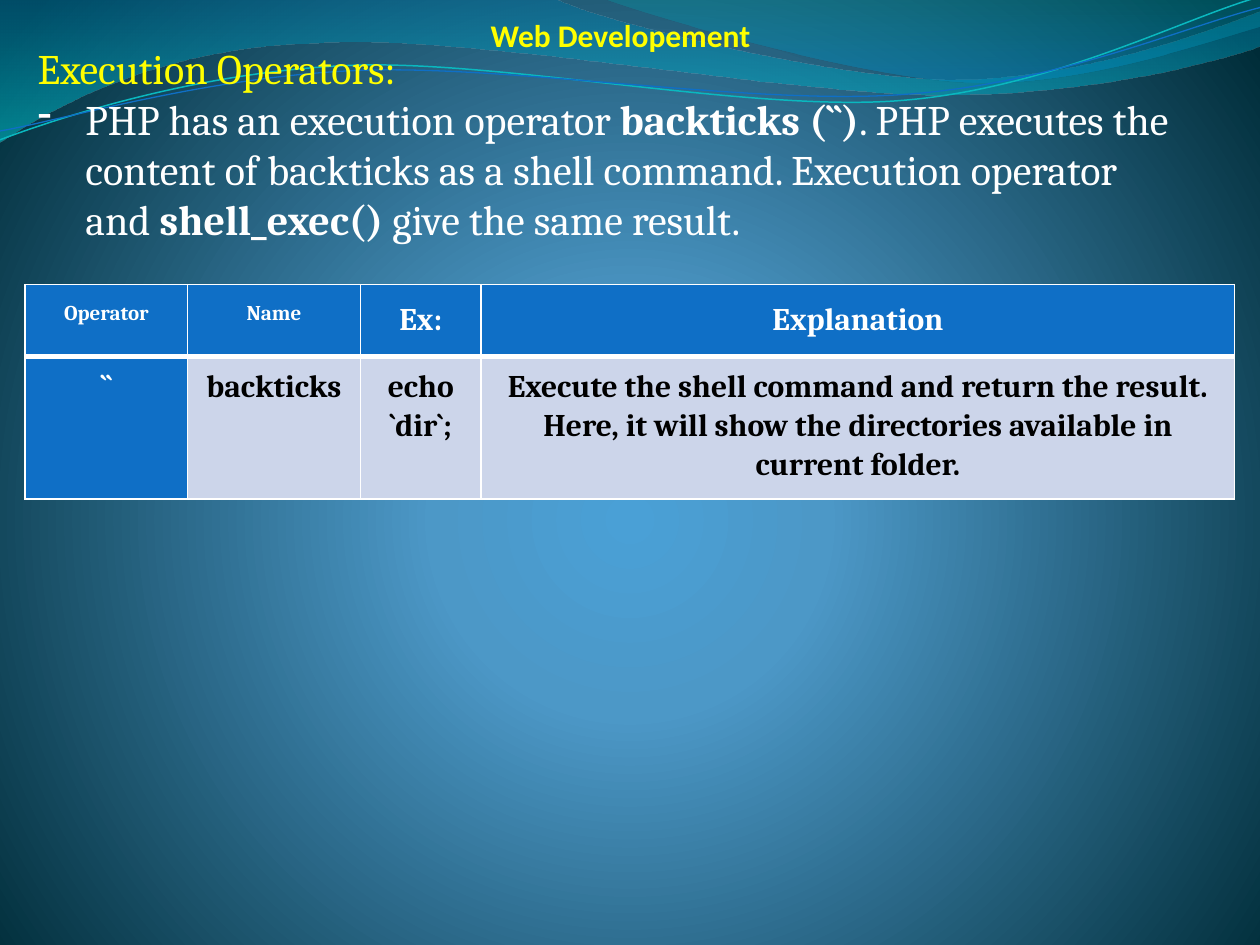
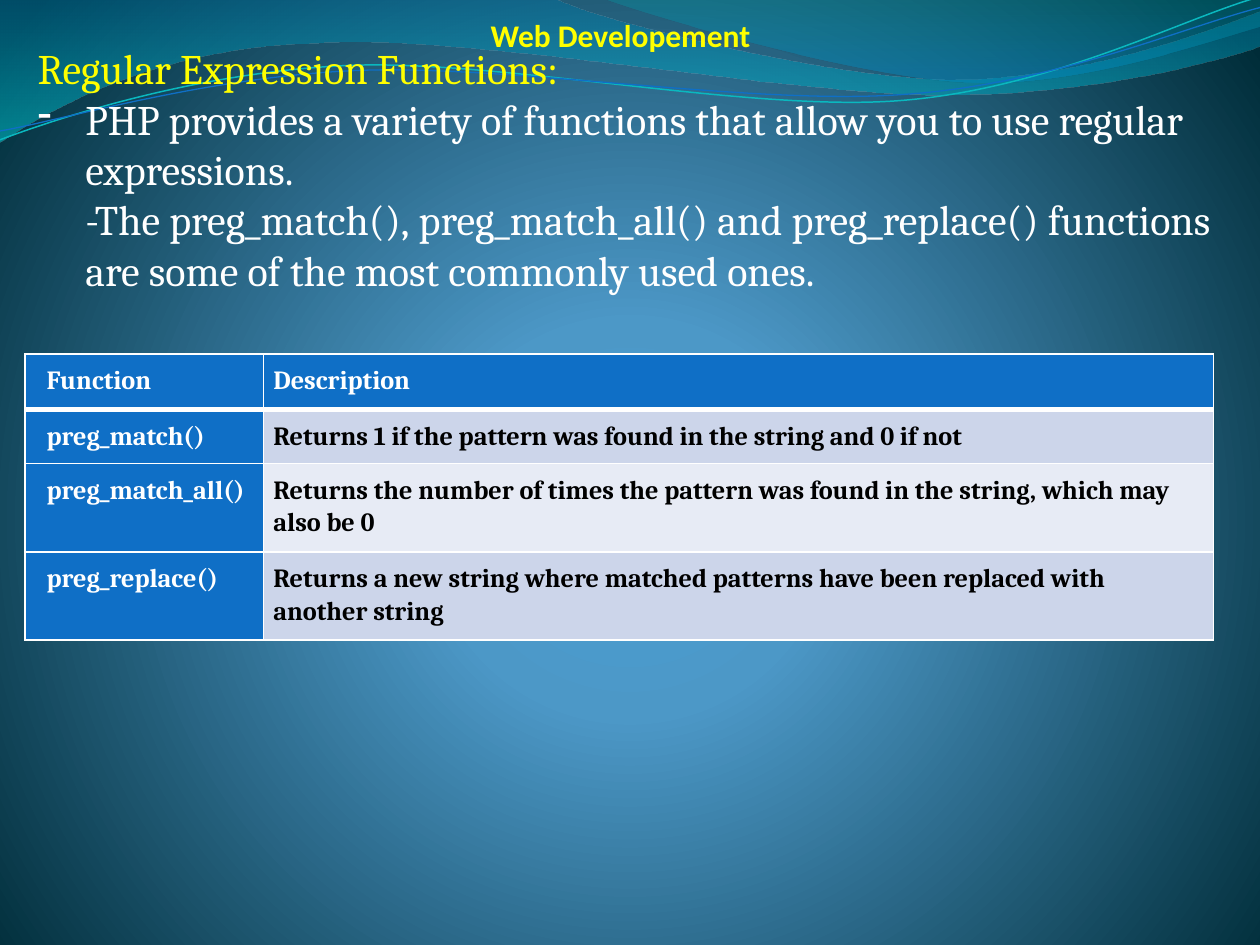
"""Builds two Web Developement slides on PHP execution operators and regular expressions."""
from lxml import etree
from pptx import Presentation
from pptx.dml.color import RGBColor
from pptx.enum.text import PP_ALIGN
from pptx.oxml.ns import qn
from pptx.util import Inches, Pt

YELLOW = RGBColor(0xFF, 0xFF, 0x00)
WHITE = RGBColor(0xFF, 0xFF, 0xFF)
BLACK = RGBColor(0x00, 0x00, 0x00)
BLUE = RGBColor(0x0F, 0x6F, 0xC6)
TURQUOISE = RGBColor(0x0A, 0xB8, 0xBF)
BANDS = [RGBColor(0xCC, 0xD5, 0xEA), RGBColor(0xE7, 0xEB, 0xF5)]
SKY = [(0, RGBColor(0x4A, 0xA0, 0xD6), 100), (25, RGBColor(0x4C, 0x98, 0xC7), 100),
       (100, RGBColor(0x00, 0x2C, 0x38), 100)]
WIDE_BAND = [(0, RGBColor(0x00, 0x74, 0xA1), 45), (100, RGBColor(0x00, 0xC6, 0xCF), 55)]
SHORT_BAND = [(0, RGBColor(0x00, 0xA1, 0xA9), 30), (80, RGBColor(0x00, 0x8B, 0xBF), 45)]

COURSE = "Web Developement"
HEADING_FONT, BODY_FONT = "Calibri", "Cambria"
LEFT = 0.2
NBSP = chr(160)

WAVE_BANDS = [
    (WIDE_BAND, (0, 0), [
        (4.4, -0.01), (4.76, 0.17, 6.64, 0.63, 7.58, 0.63), (8.53, 0.63, 9.58, 0.26, 10, 0.09),
        (10.01, 0.36), (9.83, 0.44, 8.7, 0.76, 7.46, 0.75), (6.22, 0.75, 3.82, 0.28, 2.57, 0.34),
        (1.29, 0.36, 0.46, 0.83, -0.01, 1.13)]),
    (SHORT_BAND, (4.79, -0.01), [
        (5.09, 0.11, 6.82, 0.62, 7.69, 0.65), (8.56, 0.69, 9.61, 0.32, 10, 0.21), (10, 0)]),
]
WAVE_LINES = [
    (TURQUOISE, 0.85, (0, 1.11), [
        (0.48, 0.93, 1.58, 0.57, 2.77, 0.52), (3.95, 0.47, 5.93, 0.89, 7.13, 0.8),
        (8.33, 0.71, 9.38, 0.15, 9.98, -0.02)]),
    (BLUE, 0.75, (0, 1.04), [
        (0.47, 0.96, 1.64, 0.61, 2.83, 0.56), (4.03, 0.51, 5.97, 0.84, 7.17, 0.75),
        (8.36, 0.67, 9.41, 0.21, 10, 0.06)]),
]

SLIDES = [
    {
        "topic": "Execution Operators:",
        "point": [
            (f"PHP has an execution operator{NBSP}", False), ("backticks (``)", True),
            (". PHP executes the content of backticks as a shell command. "
             f"Execution operator and{NBSP}", False),
            ("shell_exec()", True), (f"{NBSP}give the same result.", False)],
        "point_height": 2.12,
        "table_top": 2.26,
        "columns": [1.29, 1.37, 0.96, 5.98],
        "row_heights": [0.57, 1.13],
        "header_sizes": [12, 12, 18, 18],
        "body_size": 18,
        "align": PP_ALIGN.CENTER,
        "header_inset": 0.12,
        "first_inset": 0.08,
        "rows": [
            ["Operator", "Name", "Ex:", "Explanation"],
            ["``", "backticks", "echo `dir`;",
             "Execute the shell command and return the result.\n"
             "Here, it will show the directories available in current folder."]],
    },
    {
        "topic": "Regular Expression Functions:",
        "point": [
            ("PHP provides a variety of functions that allow you to use regular expressions. "
             f"-The{NBSP}preg_match(),{NBSP}preg_match_all(){NBSP}and{NBSP}preg_replace(){NBSP}"
             "functions are some of the most commonly used ones.", False)],
        "point_height": 2.52,
        "table_top": 2.81,
        "columns": [1.89, 7.54],
        "row_heights": [0.44, 0.43, 0.7, 0.7],
        "header_sizes": [15, 15],
        "body_size": 15,
        "align": PP_ALIGN.LEFT,
        "header_inset": 0.08,
        "first_inset": 0.17,
        "rows": [
            ["Function", "Description"],
            ["preg_match()", "Returns 1 if the pattern was found in the string and 0 if not"],
            ["preg_match_all()", "Returns the number of times the pattern was found in the "
                                 "string, which may also be 0"],
            ["preg_replace()", "Returns a new string where matched patterns have been "
                               "replaced with another string"]],
    },
]


def set_gradient(fill, stops):
    """Fills with the given stops and returns the gradient element, without a direction."""
    fill.gradient()
    gradient = fill._xPr.find(qn("a:gradFill"))
    for child in list(gradient):
        gradient.remove(child)
    stop_list = etree.SubElement(gradient, qn("a:gsLst"))
    for position, color, opacity in stops:
        stop = etree.SubElement(stop_list, qn("a:gs"), pos=str(position * 1000))
        shade = etree.SubElement(stop, qn("a:srgbClr"), val=str(color))
        if opacity < 100:
            etree.SubElement(shade, qn("a:alpha"), val=str(opacity * 1000))
    return gradient


def paint_background(master):
    """Gives every slide the radial sky."""
    gradient = set_gradient(master.background.fill, SKY)
    circle = etree.SubElement(gradient, qn("a:path"), path="circle")
    etree.SubElement(circle, qn("a:fillToRect"), l="10000", t="110000", r="10000", b="100000")


def add_outline(slide, start, segments, close):
    """Draws a freeform whose six-number segments are Bézier curves."""
    points = [(Inches(x), Inches(y)) for segment in segments
              for x, y in zip(segment[::2], segment[1::2])]
    builder = slide.shapes.build_freeform(Inches(start[0]), Inches(start[1]))
    builder.add_line_segments(points, close=close)
    outline = builder.convert_to_shape()
    outline.shadow.inherit = False
    steps = iter(list(outline._element.iter(qn("a:lnTo"))))
    for segment in segments:
        first = next(steps)
        if len(segment) == 6:
            curve = etree.Element(qn("a:cubicBezTo"))
            first.addprevious(curve)
            for step in (first, next(steps), next(steps)):
                curve.append(step[0])
                step.getparent().remove(step)
    return outline


def add_waves(slide):
    """Draws the bands and lines along the top edge."""
    for stops, start, segments in WAVE_BANDS:
        band = add_outline(slide, start, segments, True)
        gradient = set_gradient(band.fill, stops)
        etree.SubElement(gradient, qn("a:lin"), ang="5400000", scaled="0")
        band.line.fill.background()
    for color, width, start, segments in WAVE_LINES:
        wave = add_outline(slide, start, segments, False)
        wave.fill.background()
        wave.line.color.rgb = color
        wave.line.width = Pt(width)


def add_run(paragraph, text, size, font, color, bold=False):
    """Adds one styled run."""
    run = paragraph.add_run()
    run.text = text
    run.font.size = Pt(size)
    run.font.name = font
    run.font.color.rgb = color
    run.font.bold = bold


def add_text_frame(slide, *box):
    """Adds a wrapping text box and returns its frame."""
    frame = slide.shapes.add_textbox(*map(Inches, box)).text_frame
    frame.word_wrap = True
    return frame


def add_texts(slide, content):
    """Adds the course title, the topic and its dashed point."""
    course = add_text_frame(slide, 1.8, 0.08, 6.25, 0.4).paragraphs[0]
    course.alignment = PP_ALIGN.CENTER
    add_run(course, COURSE, 18, HEADING_FONT, YELLOW, True)

    frame = add_text_frame(slide, LEFT, 0.29, 9.61, content["point_height"])
    add_run(frame.paragraphs[0], content["topic"], 24, BODY_FONT, YELLOW)
    point = frame.add_paragraph()
    properties = point._p.get_or_add_pPr()
    properties.set("marL", str(Inches(0.38)))
    properties.set("indent", str(-Inches(0.38)))
    etree.SubElement(properties, qn("a:buFontTx"))
    etree.SubElement(properties, qn("a:buChar"), char="-")
    for text, bold in content["point"]:
        add_run(point, text, 24, BODY_FONT, WHITE, bold)


def set_borders(cell, bottom_width):
    """Draws white borders around a cell."""
    properties = cell._tc.get_or_add_tcPr()
    for side, width in (("L", 1), ("R", 1), ("T", 1), ("B", bottom_width)):
        border = etree.SubElement(properties, qn(f"a:ln{side}"), w=str(Pt(width)))
        solid = etree.SubElement(border, qn("a:solidFill"))
        etree.SubElement(solid, qn("a:srgbClr"), val=str(WHITE))


def fill_cell(cell, text, row, column, content):
    """Styles one cell and writes its text."""
    is_header = row == 0
    is_label = is_header or column == 0
    set_borders(cell, 3 if is_header else 1)
    cell.fill.solid()
    cell.fill.fore_color.rgb = BLUE if is_label else BANDS[(row - 1) % 2]
    inset = Inches(content["header_inset"] if is_header else 0.08)
    cell.margin_right = cell.margin_top = cell.margin_bottom = inset
    cell.margin_left = max(inset, Inches(content["first_inset"])) if column == 0 else inset

    paragraph = cell.text_frame.paragraphs[0]
    paragraph.alignment = content["align"]
    paragraph.line_spacing = 1.07
    size = content["header_sizes"][column] if is_header else content["body_size"]
    for index, line in enumerate(text.split("\n")):
        if index:
            paragraph.add_line_break()
        add_run(paragraph, line, size, BODY_FONT, WHITE if is_label else BLACK, True)


def add_reference_table(slide, content):
    """Adds the table below the text."""
    columns, heights = content["columns"], content["row_heights"]
    table = slide.shapes.add_table(
        len(heights), len(columns), Inches(LEFT), Inches(content["table_top"]),
        Inches(sum(columns)), Inches(sum(heights))).table
    for column, width in zip(table.columns, columns):
        column.width = Inches(width)
    for row, height in zip(table.rows, heights):
        row.height = Inches(height)
    for r, texts in enumerate(content["rows"]):
        for c, text in enumerate(texts):
            fill_cell(table.cell(r, c), text, r, c, content)


def main():
    """Builds and saves the slides."""
    prs = Presentation()
    prs.slide_width, prs.slide_height = Inches(10), Inches(7.5)
    paint_background(prs.slide_master)
    for content in SLIDES:
        slide = prs.slides.add_slide(prs.slide_layouts[6])
        add_waves(slide)
        add_texts(slide, content)
        add_reference_table(slide, content)
    prs.save("out.pptx")


if __name__ == "__main__":
    main()
